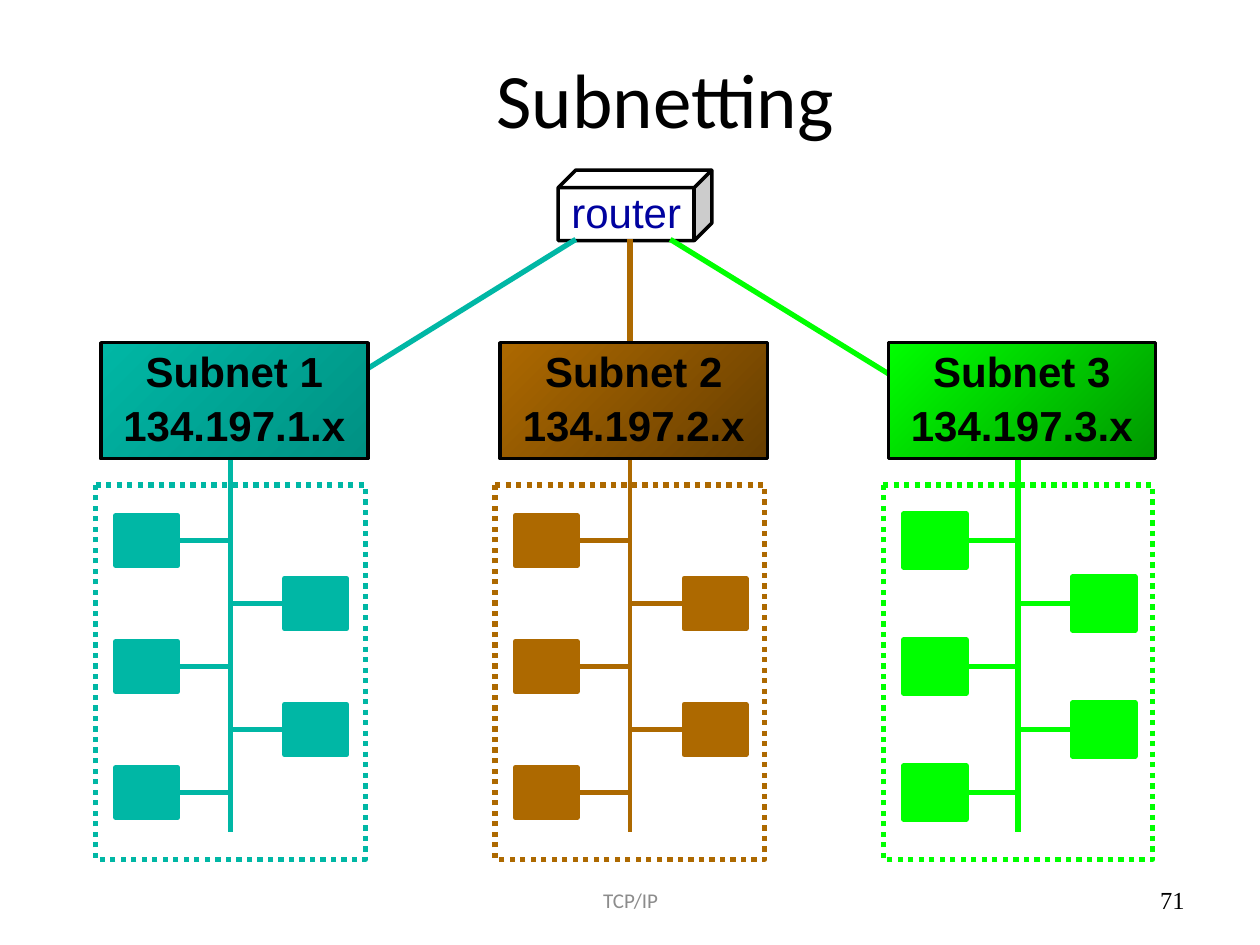
from lxml import etree
from pptx import Presentation
from pptx.dml.color import RGBColor
from pptx.enum.dml import MSO_LINE
from pptx.enum.shapes import MSO_CONNECTOR, MSO_SHAPE
from pptx.enum.text import MSO_ANCHOR, PP_ALIGN
from pptx.oxml.ns import qn
from pptx.util import Inches, Pt

CUBE, ROUNDED = MSO_SHAPE.CUBE, MSO_SHAPE.ROUNDED_RECTANGLE
STRAIGHT, DOTTED = MSO_CONNECTOR.STRAIGHT, MSO_LINE.ROUND_DOT
CENTER, RIGHT = PP_ALIGN.CENTER, PP_ALIGN.RIGHT
TOP, MIDDLE = MSO_ANCHOR.TOP, MSO_ANCHOR.MIDDLE
LEFT_SITE, RIGHT_SITE = 1, 3

THEME = {
    "black": "000000", "white": "FFFFFF",
    "title": ("Calibri", 44, "000000", False),
    "router": ("Arial", 24, "00029F", False),
    "subnet": ("Arial", 24, "000000", True),
    "footer": ("Calibri", 12, "8C8C8C", False),
    "page": ("Times New Roman", 14, "000000", False),
    "outline": 2, "wire": 3,
}

CAPTIONS = [
    ("Subnetting", "title", (1.03, 0.18, 8.5, 1.25), CENTER),
    ("TCP/IP", "footer", (3.42, 6.95, 3.17, 0.4), CENTER),
    ("71", "page", (7.17, 6.95, 2.33, 0.4), RIGHT),
]
SUBNETS = [
    {"lines": ["Subnet 1", "134.197.1.x"], "left": 0.76, "color": "00B7A5",
     "shade": "009183", "port": 4.57, "host": (0.49, 0.4), "spine": 3},
    {"lines": ["Subnet 2", "134.197.2.x"], "left": 3.93, "color": "AD6900",
     "shade": "673E00", "port": 5.0, "host": (0.49, 0.4), "spine": 2},
    {"lines": ["Subnet 3", "134.197.3.x"], "left": 7.01, "color": "00FF00",
     "shade": "009800", "port": 5.32, "host": (0.5, 0.42), "spine": 3},
]
HOSTS_PER_SUBNET = 5
FIRST_HOST_Y, HOST_STEP = 4.29, 0.5
LEFT_HOST, RIGHT_HOST, SPINE = 0.16, 1.5, 1.07

prs = Presentation()
prs.slide_width, prs.slide_height = Inches(10), Inches(7.5)
slide = prs.slides.add_slide(prs.slide_layouts[6])


def rgb(value):
    return RGBColor.from_string(value)


def write(frame, lines, style, align, anchor, spacing=0.96, wrap=True):
    font_name, size, color, bold = THEME[style]
    frame.word_wrap = wrap
    frame.vertical_anchor = anchor
    for index, line in enumerate(lines):
        paragraph = frame.add_paragraph() if index else frame.paragraphs[0]
        paragraph.alignment = align
        paragraph.line_spacing = spacing
        if index:
            paragraph.space_before = Pt(3)
        run = paragraph.add_run()
        run.text = line
        run.font.name, run.font.size, run.font.bold = font_name, Pt(size), bold
        run.font.color.rgb = rgb(color)


def add_block(kind, box, fill, line, width, adjustment):
    block = slide.shapes.add_shape(kind, *map(Inches, box))
    block.shadow.inherit = False
    block.adjustments[0] = adjustment
    if fill:
        block.fill.solid()
        block.fill.fore_color.rgb = rgb(fill)
    else:
        block.fill.background()
    block.line.color.rgb = rgb(line)
    block.line.width = Pt(width)
    return block


def add_wire(start, end, color, width=THEME["wire"]):
    wire = slide.shapes.add_connector(STRAIGHT, *map(Inches, (*start, *end)))
    wire.line.color.rgb = rgb(color)
    wire.line.width = Pt(width)
    etree.SubElement(wire._element.spPr, qn("a:effectLst"))
    return wire


def add_network(subnet):
    left, color = subnet["left"], subnet["color"]
    host_width, host_height = subnet["host"]
    spine_x = left + SPINE
    for index in range(HOSTS_PER_SUBNET):
        on_right = index % 2
        y = FIRST_HOST_Y + index * HOST_STEP
        host_x = left + (RIGHT_HOST if on_right else LEFT_HOST)
        host = add_block(ROUNDED, (host_x, y - host_height / 2, host_width, host_height),
                         color, color, THEME["wire"], 0)
        tap = add_wire((spine_x, y), (host_x, y), color)
        tap.end_connect(host, LEFT_SITE if on_right else RIGHT_SITE)
    add_wire((spine_x, 6.6), (spine_x, 3.57), color, subnet["spine"])
    border = add_block(ROUNDED, (left, 3.85, 2.14, 2.97), None, color, THEME["wire"], 0)
    border.line.dash_style = DOTTED
    add_wire((spine_x, 3.6), (subnet["port"], 1.9), color)


def add_card(subnet):
    card = add_block(ROUNDED, (subnet["left"] + 0.04, 2.72, 2.12, 0.92),
                     None, THEME["black"], THEME["outline"], 0)
    card.fill.gradient()
    card.fill.gradient_angle = 315
    for stop, color in zip(card.fill.gradient_stops, (subnet["color"], subnet["shade"])):
        stop.color.rgb = rgb(color)
    write(card.text_frame, subnet["lines"], "subnet", CENTER, TOP)


router = add_block(CUBE, (4.43, 1.35, 1.22, 0.56), THEME["white"],
                   THEME["black"], THEME["outline"], 0.25)
write(router.text_frame, ["router"], "router", CENTER, MIDDLE, wrap=False)
for subnet in SUBNETS:
    add_network(subnet)
    add_card(subnet)
for caption, style, box, align in CAPTIONS:
    textbox = slide.shapes.add_textbox(*map(Inches, box))
    write(textbox.text_frame, [caption], style, align, MIDDLE)

prs.save("out.pptx")
